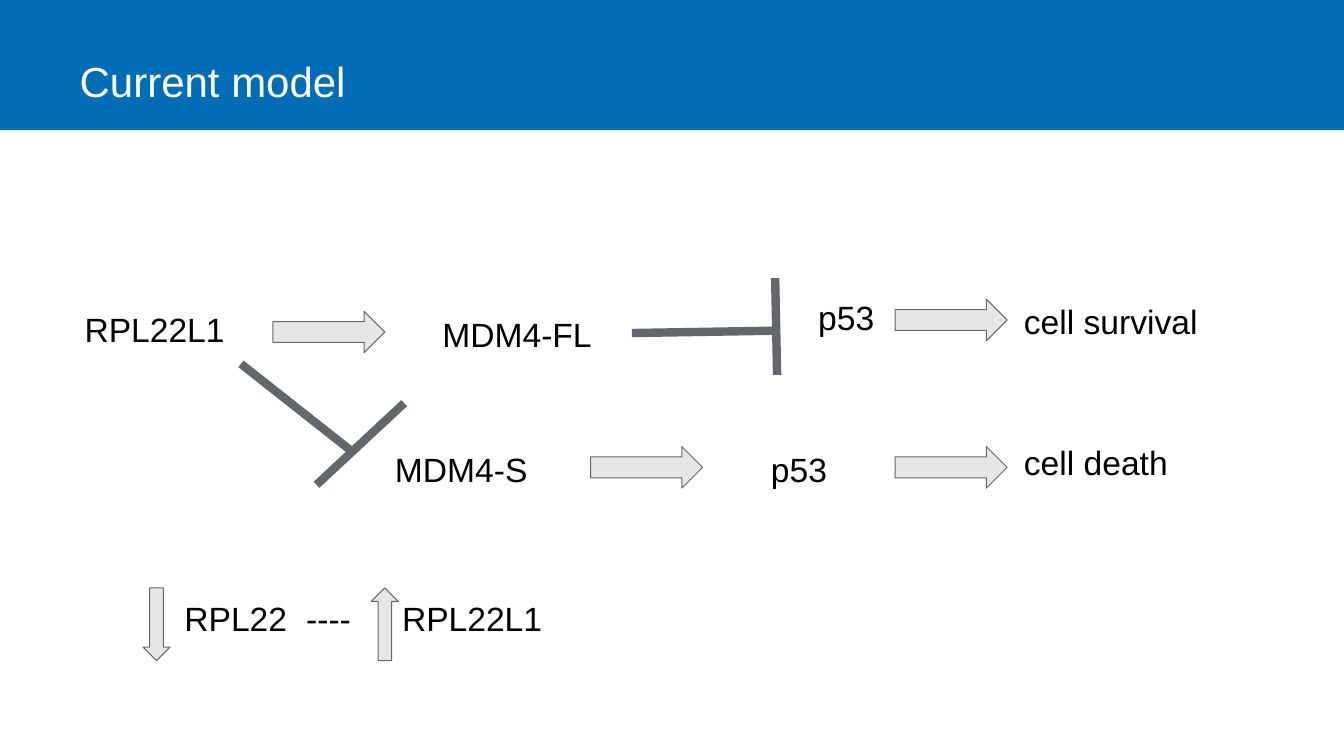
import pptx
import pptx.util
import lxml.etree
from pptx.dml.color import RGBColor
from pptx.enum.shapes import MSO_CONNECTOR, MSO_SHAPE
from pptx.enum.text import MSO_ANCHOR, MSO_AUTO_SIZE, PP_ALIGN
from pptx.oxml.ns import qn

Pt = pptx.util.Pt

BLUE = RGBColor(0x00, 0x6D, 0xB6)
WHITE = RGBColor(0xFF, 0xFF, 0xFF)
BLACK = RGBColor(0x00, 0x00, 0x00)
LIGHT_GRAY = RGBColor(0xE7, 0xE6, 0xE6)
DARK_GRAY = RGBColor(0x63, 0x66, 0x6A)
INSET = 7.2
INDENT = 12.2


def set_text(shape, text, size, color, indent=0):
    frame = shape.text_frame
    frame.word_wrap = True
    frame.auto_size = MSO_AUTO_SIZE.NONE
    frame.margin_left = Pt(INSET + indent)
    frame.margin_top = frame.margin_right = frame.margin_bottom = Pt(INSET)
    paragraph = frame.paragraphs[0]
    paragraph.text = text
    paragraph.alignment = PP_ALIGN.LEFT
    if "\t" in text:
        properties = paragraph._p.get_or_add_pPr()
        tabs = lxml.etree.SubElement(properties, qn("a:tabLst"))
        lxml.etree.SubElement(tabs, qn("a:tab"), pos=str(Pt(87)), algn="l")
    paragraph.font.name = "Arial"
    paragraph.font.size = Pt(size)
    paragraph.font.color.rgb = color


presentation = pptx.Presentation()
presentation.slide_width = Pt(960)
presentation.slide_height = Pt(540)
slide = presentation.slides.add_slide(presentation.slide_layouts[5])
shapes = slide.shapes

# Title on its blue band
title = shapes.title
title.left, title.top, title.width, title.height = Pt(49.7), Pt(50.4), Pt(865.4), Pt(33.1)
set_text(title, "Current model", 30, WHITE)
title.text_frame.vertical_anchor = MSO_ANCHOR.BOTTOM
title.text_frame.paragraphs[0].line_spacing = 0.9

band = shapes.add_shape(MSO_SHAPE.RECTANGLE, 0, 0, Pt(960), Pt(92.9))
band.shadow.inherit = False
band.fill.solid()
band.fill.fore_color.rgb = BLUE
band.line.fill.background()
title._element.addprevious(band._element)

# Pathway labels: text, left, top, width, height, indent
labels = [
    ("RPL22L1", 41, 213.8, 190, 105, INDENT),
    ("MDM4-FL", 308.9, 216.7, 235, 67, 0),
    ("MDM4-S", 275, 313.2, 196, 67, 0),
    ("p53", 577.4, 205.2, 125, 84, 0),
    ("p53", 543.6, 313.2, 125, 84, 0),
    ("cell survival", 724.3, 207.4, 235, 52, 0),
    ("cell death", 724.3, 308.2, 235, 52, 0),
    ("RPL22L1", 267.8, 419.8, 190, 105, INDENT),
    ("RPL22\t----", 112.3, 419.8, 190, 105, INDENT),
]
for text, left, top, width, height, indent in labels:
    label = shapes.add_textbox(Pt(left), Pt(top), Pt(width), Pt(height))
    set_text(label, text, 24, BLACK, indent)

# Block arrows: left, top, width, height, rotation
arrows = [
    (195, 222.3, 80, 29.7, 0),
    (421.9, 319, 80, 29.7, 0),
    (639.4, 213.8, 80, 29.7, 0),
    (639.4, 319, 80, 29.7, 0),
    (85.8, 436.2, 52, 19.4, 90),
    (248.9, 436.2, 52, 19.4, 270),
]
for left, top, width, height, rotation in arrows:
    arrow = shapes.add_shape(MSO_SHAPE.RIGHT_ARROW, Pt(left), Pt(top), Pt(width), Pt(height))
    arrow.rotation = rotation
    arrow.shadow.inherit = False
    arrow.fill.solid()
    arrow.fill.fore_color.rgb = LIGHT_GRAY
    arrow.line.color.rgb = DARK_GRAY
    arrow.line.width = Pt(0.75)

# Inhibition signs: a stem and a crossbar each
inhibition_lines = [
    (172.1, 259.9, 253.4, 324),
    (226.1, 346.3, 288.7, 288),
    (451.4, 237.9, 555.1, 236.2),
    (553.7, 198.7, 555.1, 267.8),
]
for ends in inhibition_lines:
    line = shapes.add_connector(MSO_CONNECTOR.STRAIGHT, *[Pt(value) for value in ends])
    line.line.color.rgb = DARK_GRAY
    line.line.width = Pt(6)
    lxml.etree.SubElement(line._element.spPr, qn("a:effectLst"))

presentation.save("out.pptx")
